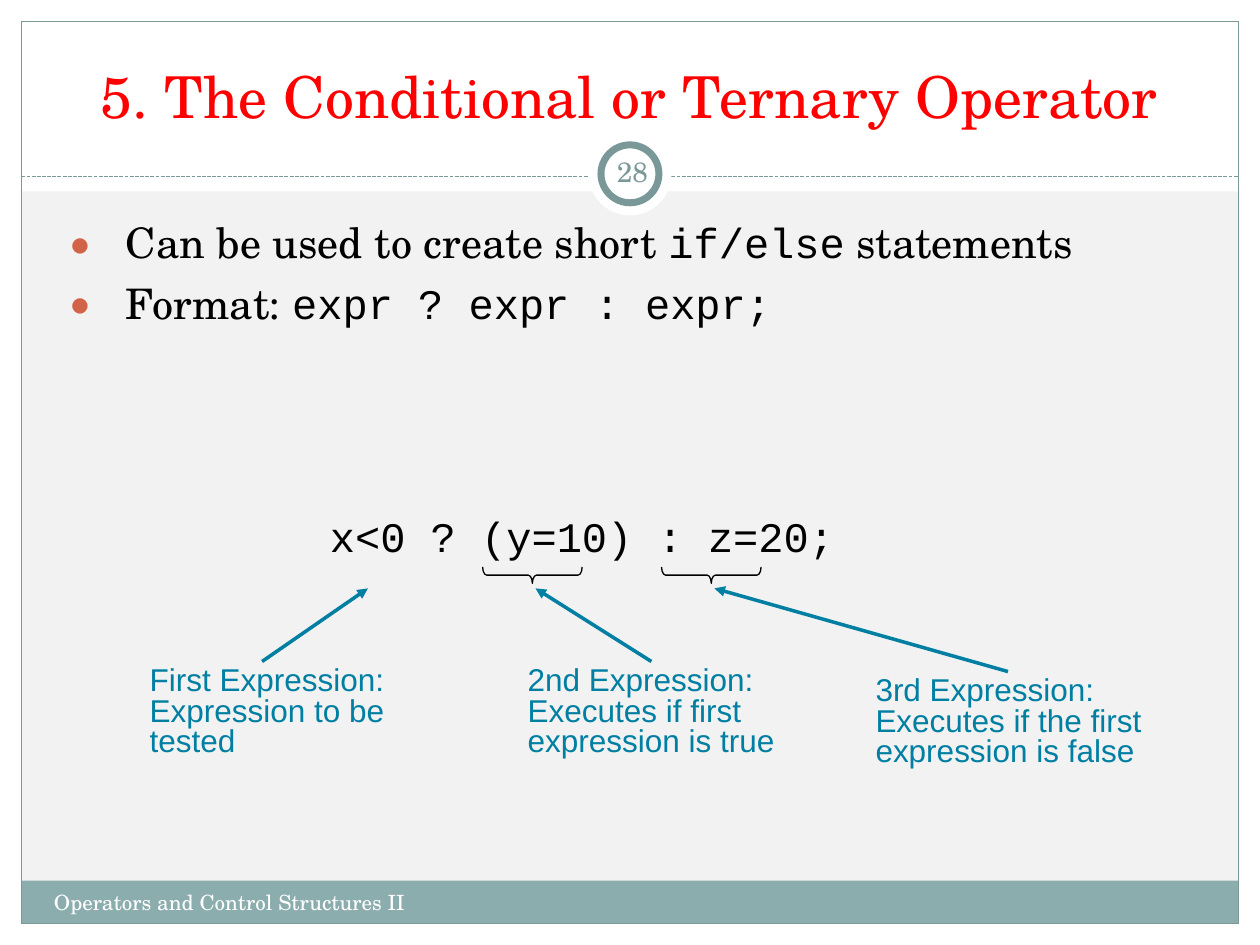
from dataclasses import dataclass
from lxml import etree
from pptx import Presentation
from pptx.dml.color import RGBColor
from pptx.enum.dml import MSO_LINE
from pptx.enum.shapes import MSO_CONNECTOR, MSO_SHAPE
from pptx.enum.text import MSO_ANCHOR, MSO_AUTO_SIZE, PP_ALIGN
from pptx.oxml.ns import qn
from pptx.util import Inches, Pt

RECT, OVAL, BRACE = MSO_SHAPE.RECTANGLE, MSO_SHAPE.OVAL, MSO_SHAPE.RIGHT_BRACE
LEFT, CENTER = PP_ALIGN.LEFT, PP_ALIGN.CENTER
TOP, MIDDLE, BOTTOM = MSO_ANCHOR.TOP, MSO_ANCHOR.MIDDLE, MSO_ANCHOR.BOTTOM
FIT, DASH, STRAIGHT = MSO_AUTO_SIZE.SHAPE_TO_FIT_TEXT, MSO_LINE.SQUARE_DOT, MSO_CONNECTOR.STRAIGHT


@dataclass(frozen=True)
class Theme:
    back: str = "F2F2F2"
    white: str = "FFFFFF"
    black: str = "000000"
    band: str = "8CADAE"
    edge: str = "7B9899"
    red: str = "FF0000"
    bullet: str = "D16349"
    blue: str = "007FA3"
    serif: str = "TeX Gyre Schola"
    sans: str = "Arial"
    mono: str = "Courier New"
    title: int = 33
    body: int = 24
    note: int = 18
    page: int = 16
    foot: int = 12
    thin: float = 0.74
    arrow: float = 2
    ring: float = 4


T = Theme()


def rgb(code):
    return RGBColor.from_string(code)


def shape(slide, kind, box, fill=None, line=None, width=T.thin):
    item = slide.shapes.add_shape(kind, *map(Inches, box))
    item.shadow.inherit = False
    if fill:
        item.fill.solid()
        item.fill.fore_color.rgb = rgb(fill)
    else:
        item.fill.background()
    if line:
        item.line.color.rgb = rgb(line)
        item.line.width = Pt(width)
    else:
        item.line.fill.background()
    return item


def link(slide, start, end, color, width):
    item = slide.shapes.add_connector(STRAIGHT, *map(Inches, start + end))
    item.line.color.rgb = rgb(color)
    item.line.width = Pt(width)
    etree.SubElement(item._element.spPr, qn("a:effectLst"))
    return item


def style(run, font, size, color):
    run.font.name = font
    run.font.size = Pt(size)
    run.font.color.rgb = rgb(color)


def text(slide, box, words, font, size, color, align=LEFT, anchor=TOP, wrap=True, gap=None):
    item = slide.shapes.add_textbox(*map(Inches, box))
    frame = item.text_frame
    frame.text = words
    frame.word_wrap = wrap
    frame.vertical_anchor = anchor
    if not wrap:
        frame.auto_size = FIT
    for para in frame.paragraphs:
        para.alignment = align
        if gap:
            para.line_spacing = gap
        for run in para.runs:
            style(run, font, size, color)
    return frame


def bullet(para):
    props = para._p.get_or_add_pPr()
    props.set("marL", str(Inches(0.57)))
    props.set("indent", str(Inches(-0.46)))
    tint = etree.SubElement(props, qn("a:buClr"))
    etree.SubElement(tint, qn("a:srgbClr"), val=T.bullet)
    etree.SubElement(props, qn("a:buSzPct"), val="85000")
    etree.SubElement(props, qn("a:buFont"), typeface=T.serif)
    etree.SubElement(props, qn("a:buChar"), char="●")


def frame(slide, wide, high):
    slide.background.fill.solid()
    slide.background.fill.fore_color.rgb = rgb(T.back)
    rim = 0.17
    for box in ((0, high - rim, wide, rim), (0, 0, wide, 1.52),
                (0, 0, rim, high), (wide - rim, 0, rim, high)):
        shape(slide, RECT, box, T.white)
    shape(slide, RECT, (rim, 6.99, wide - 2 * rim, 0.34), T.band)
    shape(slide, RECT, (rim, rim, wide - 2 * rim, high - 2 * rim), line=T.edge)
    rule = link(slide, (rim, 1.4), (wide - rim, 1.4), T.edge, T.thin)
    rule.line.dash_style = DASH
    text(slide, (0.33, 7.01, 3.92, 0.4), "Operators and Control Structures II",
         T.serif, T.foot, T.white)


def badge(slide, x, y, size):
    shape(slide, OVAL, (x, y, size, size), T.white)
    ring = size - 0.2
    shape(slide, OVAL, (x + 0.1, y + 0.1, ring, ring), T.white, T.edge, T.ring)
    label = text(slide, (x + 0.1, y + 0.07, 0.5, 0.48), "28", T.serif, T.page, T.edge,
                 CENTER, MIDDLE)
    label.margin_left = label.margin_right = Inches(0.05)


def points(slide, box, rows):
    body = text(slide, box, "\n".join("" for _ in rows), T.serif, T.body, T.black)
    for para, row in zip(body.paragraphs, rows):
        para.space_before = Pt(6)
        bullet(para)
        for words, font in row:
            run = para.add_run()
            run.text = words
            style(run, font, T.body, T.black)


def brace(slide, x, y, wide, high):
    box = (x + (wide - high) / 2, y + (high - wide) / 2, high, wide)
    item = shape(slide, BRACE, box, line=T.black)
    item.rotation = 90
    item.adjustments[0] = 0.25


def arrow(slide, start, end):
    item = link(slide, start, end, T.blue, T.arrow)
    etree.SubElement(item.line._get_or_add_ln(), qn("a:tailEnd"), type="triangle")


def diagram(slide, x, y):
    text(slide, (x, y, 4.2, 0.5), "x<0 ? (y=10) : z=20;", T.mono, T.body, T.black, wrap=False)
    for step in (1.31, 2.73):
        brace(slide, x + step, y + 0.5, 0.79, 0.13)
    notes = (
        (1.09, 5.25, 2.06, 2.08, 2.92, "First Expression:\nExpression to be\ntested"),
        (4.09, 5.25, 2.16, 5.17, 4.25, "2nd Expression:\nExecutes if first\nexpression is true"),
        (6.85, 5.33, 2.31, 8, 5.67, "3rd Expression:\nExecutes if the first\nexpression is false"),
    )
    for left, top, wide, start, end, words in notes:
        left, start, end = (x + value - 2.52 for value in (left, start, end))
        top += y - 4
        arrow(slide, (start, top), (end, y + 0.67))
        text(slide, (left, top, wide, 0.82), words, T.sans, T.note, T.blue, wrap=False, gap=0.8)


def main():
    deck = Presentation()
    deck.slide_width, deck.slide_height = Inches(10), Inches(7.5)
    slide = deck.slides.add_slide(deck.slide_layouts[6])
    frame(slide, 10, 7.5)
    badge(slide, 4.67, 1.05, 0.66)
    text(slide, (0.33, 0.25, 9.33, 0.83), "5. The Conditional or Ternary Operator",
         T.serif, T.title, T.red, CENTER, BOTTOM)
    points(slide, (0.33, 1.67, 9.3, 5), (
        (("Can be used to create short ", T.serif), ("if/else", T.mono), (" statements", T.serif)),
        (("Format: ", T.serif), ("expr ? expr : expr;", T.mono)),
    ))
    diagram(slide, 2.52, 4)
    deck.save("out.pptx")


main()
